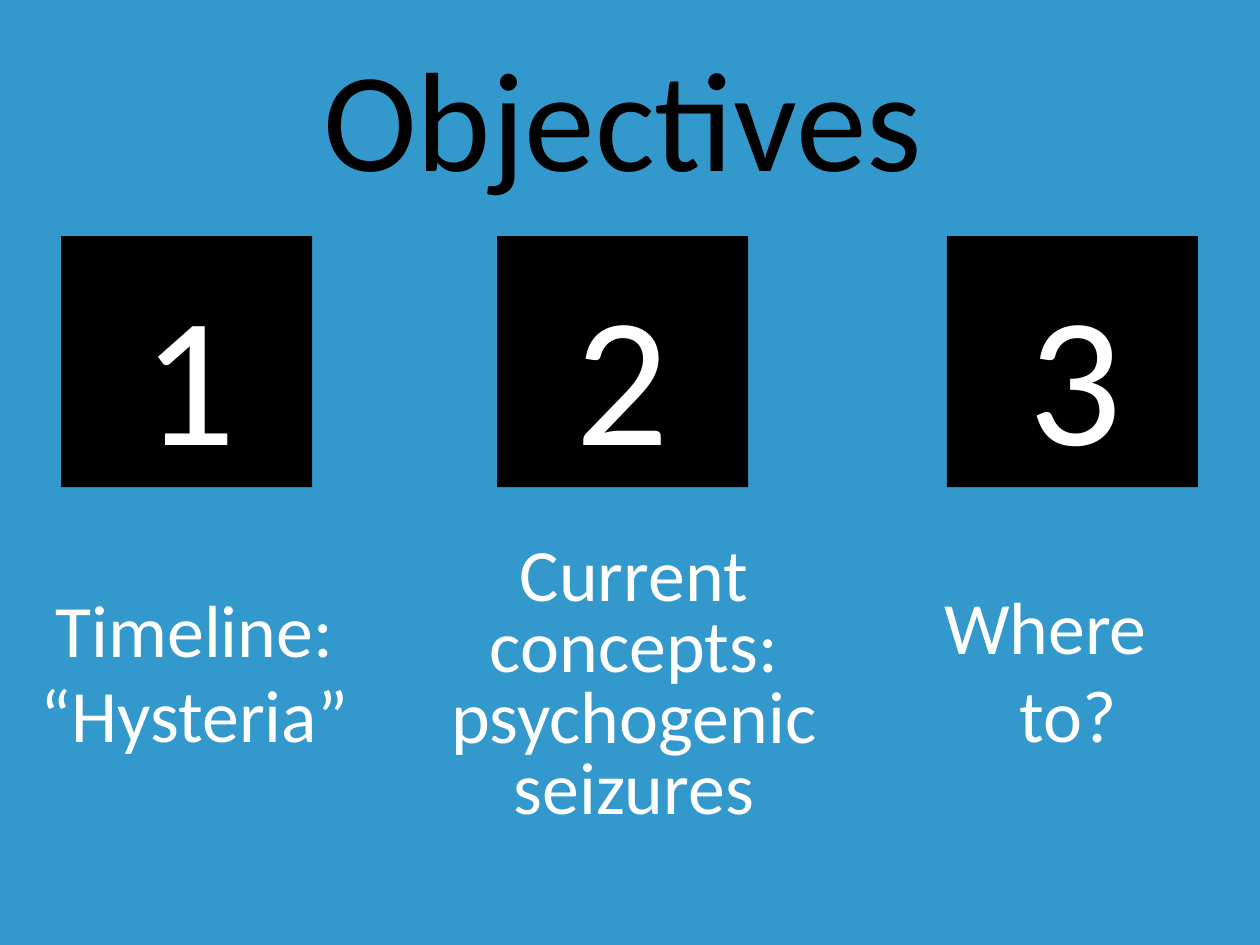
from pptx import Presentation
from pptx.dml.color import RGBColor
from pptx.enum.shapes import MSO_SHAPE
from pptx.enum.text import MSO_ANCHOR, PP_ALIGN
from pptx.util import Emu, Pt

COLORS = {"back": "3399CC", "dark": "000000", "light": "FFFFFF"}
SCALE = 10160


def px(count):
    return Emu(count * SCALE)


def color(name):
    return RGBColor.from_string(COLORS[name])


class Deck:
    def __init__(self, width, height):
        self.font = "Calibri"
        self.show = Presentation()
        self.show.slide_width = px(width)
        self.show.slide_height = px(height)
        self.slide = self.show.slides.add_slide(self.show.slide_layouts[6])
        fill = self.slide.background.fill
        fill.solid()
        fill.fore_color.rgb = color("back")

    def letter(self, shape, lines, size, ink, lead=1.0, gap=0, shifts=(), top=0):
        frame = shape.text_frame
        frame.word_wrap = True
        frame.vertical_anchor = MSO_ANCHOR.MIDDLE
        frame.margin_left = frame.margin_right = px(9)
        frame.margin_top, frame.margin_bottom = px(top), px(0)
        frame.text = "\n".join(lines)
        for index, line in enumerate(frame.paragraphs):
            line.alignment = PP_ALIGN.CENTER
            line.line_spacing = lead
            if index and gap:
                line.space_before = Pt(gap)
            if index < len(shifts):
                line._p.get_or_add_pPr().set("marL", str(px(shifts[index])))
            for run in line.runs:
                run.font.name = self.font
                run.font.size = Pt(size)
                run.font.color.rgb = color(ink)

    def label(self, area, lines, size, ink, **style):
        box = self.slide.shapes.add_textbox(*map(px, area))
        self.letter(box, lines, size, ink, **style)

    def tile(self, left, digit, shift):
        area = map(px, (left, 240, 255, 255))
        box = self.slide.shapes.add_shape(MSO_SHAPE.RECTANGLE, *area)
        box.shadow.inherit = False
        box.fill.solid()
        box.fill.fore_color.rgb = color("dark")
        box.line.fill.background()
        self.letter(box, [digit], 150, "light", shifts=(shift,), top=20)


def main():
    deck = Deck(1280, 960)
    for left, digit, shift in ((62, "1", 6), (505, "2", 0), (962, "3", 6)):
        deck.tile(left, digit, shift)
    deck.label((190, 68, 885, 97), ["Objectives"], 115, "dark")
    goals = (
        ((25, 622, 345, 135), ["Timeline:", "“Hysteria”"],
         {"lead": 0.8, "gap": 11}),
        ((385, 630, 518, 135), ["Current concepts: psychogenic seizures"],
         {"lead": 0.8}),
        ((908, 612, 308, 135), ["Where", "to?"], {"shifts": (0, 47)}),
    )
    for area, lines, style in goals:
        deck.label(area, lines, 60, "light", **style)
    deck.show.save("out.pptx")


if __name__ == "__main__":
    main()
